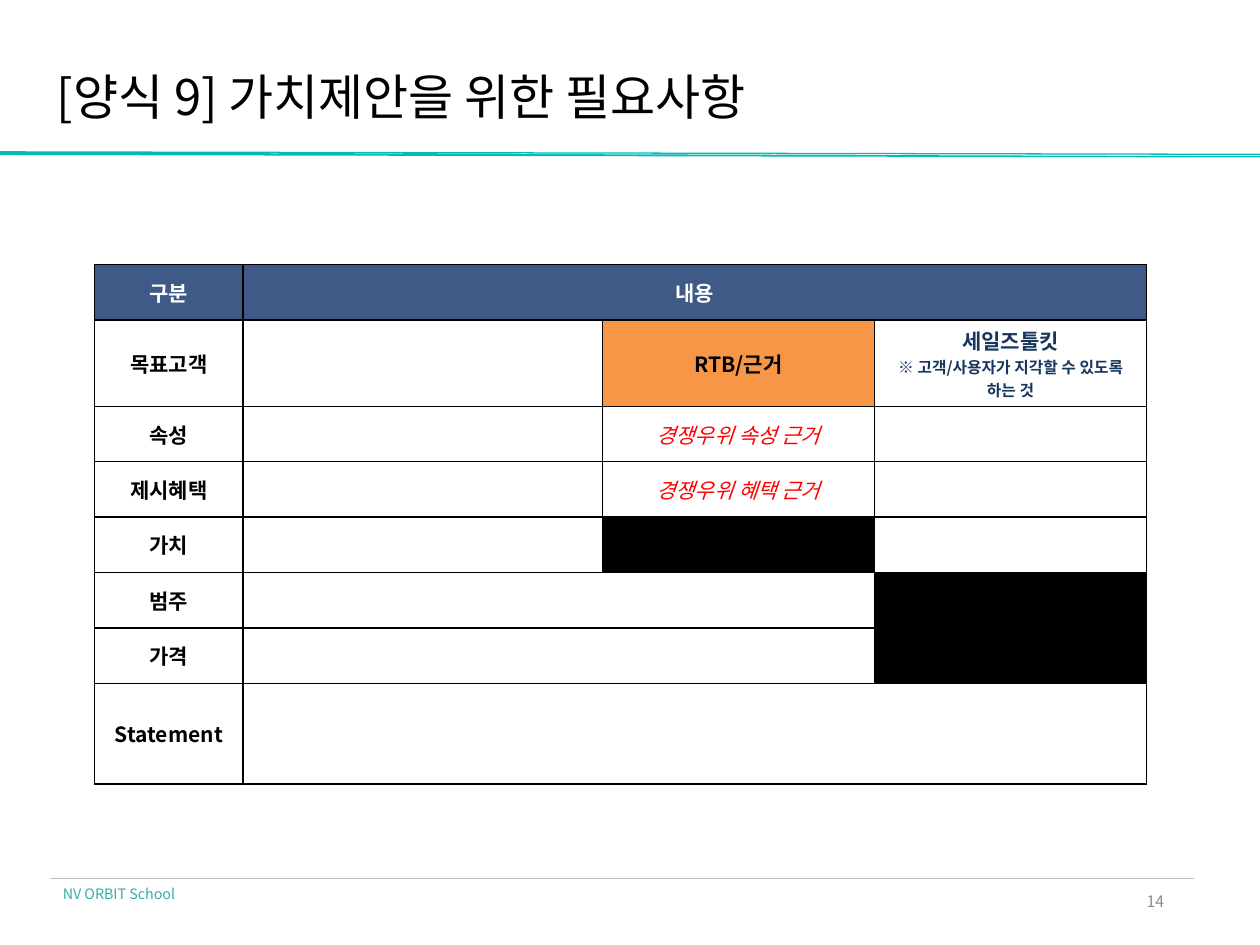
from lxml.etree import SubElement
from pptx import Presentation
from pptx.dml.color import RGBColor
from pptx.enum.shapes import MSO_CONNECTOR as Connector
from pptx.enum.text import MSO_ANCHOR as Anchor, MSO_AUTO_SIZE as AutoSize, PP_ALIGN as Align
from pptx.oxml.ns import qn
from pptx.util import Inches, Pt

FONT = "Noto Sans CJK KR"
BLACK = RGBColor(0x00, 0x00, 0x00)
WHITE = RGBColor(0xFF, 0xFF, 0xFF)
RED = RGBColor(0xFF, 0x00, 0x00)
TEAL = RGBColor(0x01, 0xBC, 0xB6)
FOOTER_TEAL = RGBColor(0x34, 0xAE, 0xAA)
RULE_GRAY = RGBColor(0xBE, 0xBE, 0xBE)
NUMBER_GRAY = RGBColor(0x8C, 0x8C, 0x8C)
HEADER_BLUE = RGBColor(0x3F, 0x5A, 0x87)
NAVY = RGBColor(0x17, 0x37, 0x5E)
ORANGE = RGBColor(0xF7, 0x96, 0x46)

COLUMN_WIDTHS = [1.18, 2.85, 2.16, 2.16]
ROW_HEIGHTS = [0.44, 0.57, 0.44, 0.44, 0.44, 0.44, 0.44, 0.8]
ROW_LABELS = ["구분", "목표고객", "속성", "제시혜택", "가치", "범주", "가격", "Statement"]
MERGES = [((0, 1), (0, 3)), ((5, 1), (5, 2)), ((6, 1), (6, 2)), ((5, 3), (6, 3)), ((7, 1), (7, 3))]
CELL_FILLS = {
    (0, 0): HEADER_BLUE, (0, 1): HEADER_BLUE,
    (1, 2): ORANGE, (1, 3): WHITE,
    (2, 2): WHITE, (2, 3): WHITE,
    (4, 2): BLACK, (5, 3): BLACK,
}


def add_run(paragraph, text, size, color, bold=False, italic=False):
    run = paragraph.add_run()
    run.text = text
    font = run.font
    font.name, font.size, font.bold, font.italic = FONT, Pt(size), bold, italic
    font.color.rgb = color
    SubElement(font._element, qn("a:ea"), typeface=FONT)


def add_text(slide, box, text, size, color, margins=(0, 0), align=Align.LEFT, anchor=Anchor.MIDDLE):
    """Margins are the horizontal and the vertical inset in inches."""
    frame = slide.shapes.add_textbox(*map(Inches, box)).text_frame
    frame.word_wrap = True
    frame.auto_size = AutoSize.NONE
    frame.vertical_anchor = anchor
    frame.margin_left = frame.margin_right = Inches(margins[0])
    frame.margin_top = frame.margin_bottom = Inches(margins[1])
    paragraph = frame.paragraphs[0]
    paragraph.alignment = align
    add_run(paragraph, text, size, color)


def add_title(slide, box):
    add_text(slide, box, "[양식 9] 가치제안을 위한 필요사항", 28, BLACK)


def add_title_band(slide, left, top, width):
    """Two thin slanted strips, one right below the other."""
    right = left + width
    builder = slide.shapes.build_freeform(Inches(left), Inches(top))
    for offset, thickness in ((0, 0.01), (0.01, 0.02)):
        start = top + offset
        if offset:
            builder.move_to(Inches(left), Inches(start))
        corners = [(left, start + thickness), (right, start + 0.04), (right, start + 0.02)]
        builder.add_line_segments([(Inches(x), Inches(y)) for x, y in corners], close=True)
    band = builder.convert_to_shape()
    band.shadow.inherit = False
    band.fill.solid()
    band.fill.fore_color.rgb = TEAL
    band.line.fill.background()


def add_footer(slide, left, top, width):
    rule = slide.shapes.add_connector(
        Connector.STRAIGHT, Inches(left), Inches(top), Inches(left + width), Inches(top))
    rule.line.color.rgb = RULE_GRAY
    rule.line.width = Pt(0.5)
    SubElement(rule._element.spPr, qn("a:effectLst"))
    add_text(slide, (left, top + 0.01, 1.29, 0.24), "NV ORBIT School", 8.2, FOOTER_TEAL,
             (0.1, 0.05), anchor=Anchor.TOP)
    add_text(slide, (left + 6.66, top - 0.02, 2.25, 0.4), "14", 9, NUMBER_GRAY,
             (0.07, 0.04), Align.RIGHT)


def style_cell(cell, fill):
    cell.vertical_anchor = Anchor.MIDDLE
    cell.margin_left = cell.margin_right = Inches(0.07)
    cell.margin_top = cell.margin_bottom = Inches(0.04)
    properties = cell._tc.get_or_add_tcPr()
    for side in ("lnL", "lnR", "lnT", "lnB"):
        border = SubElement(properties, qn(f"a:{side}"), w=str(Pt(1)))
        SubElement(SubElement(border, qn("a:solidFill")), qn("a:srgbClr"), val=str(BLACK))
    if fill is None:
        cell.fill.background()
    else:
        cell.fill.solid()
        cell.fill.fore_color.rgb = fill


def write_cell(cell, lines):
    """Each line is text, size, colour, bold and italic; an empty cell keeps a 12 pt line."""
    frame = cell.text_frame
    for index, line in enumerate(lines):
        paragraph = frame.add_paragraph() if index else frame.paragraphs[0]
        paragraph.alignment = Align.CENTER
        add_run(paragraph, *line)
    if not lines:
        SubElement(frame.paragraphs[0]._p, qn("a:endParaRPr"), sz="1200")


def add_value_table(slide, left, top):
    table = slide.shapes.add_table(
        len(ROW_HEIGHTS), len(COLUMN_WIDTHS), Inches(left), Inches(top),
        Inches(sum(COLUMN_WIDTHS)), Inches(sum(ROW_HEIGHTS))).table
    table.horz_banding = False
    for column, width in zip(table.columns, COLUMN_WIDTHS):
        column.width = Inches(width)
    for row, height in zip(table.rows, ROW_HEIGHTS):
        row.height = Inches(height)
    for first, last in MERGES:
        table.cell(*first).merge(table.cell(*last))

    texts = {(row, 0): [(label, 12, BLACK if row else WHITE, True)]
             for row, label in enumerate(ROW_LABELS)}
    texts.update({
        (0, 1): [("내용", 12, WHITE, True)],
        (1, 2): [("RTB/근거", 12, BLACK, True)],
        (1, 3): [("세일즈툴킷", 12, NAVY, True),
                 ("※ 고객/사용자가 지각할 수 있도록 하는 것", 9, NAVY, True)],
        (2, 2): [("경쟁우위 속성 근거", 12, RED, False, True)],
        (3, 2): [("경쟁우위 혜택 근거", 12, RED, False, True)],
    })
    for row in range(len(ROW_HEIGHTS)):
        for column in range(len(COLUMN_WIDTHS)):
            cell = table.cell(row, column)
            style_cell(cell, CELL_FILLS.get((row, column)))
            write_cell(cell, texts.get((row, column), []))


def main():
    presentation = Presentation()
    presentation.slide_width = Inches(10)
    presentation.slide_height = Inches(7.5)
    slide = presentation.slides.add_slide(presentation.slide_layouts[6])
    add_title_band(slide, 0, 1.2, 10)
    add_footer(slide, 0.4, 6.97, 9.08)
    add_title(slide, (0.45, 0.53, 9.03, 0.47))
    add_value_table(slide, 0.75, 2.1)
    presentation.save("out.pptx")


if __name__ == "__main__":
    main()
